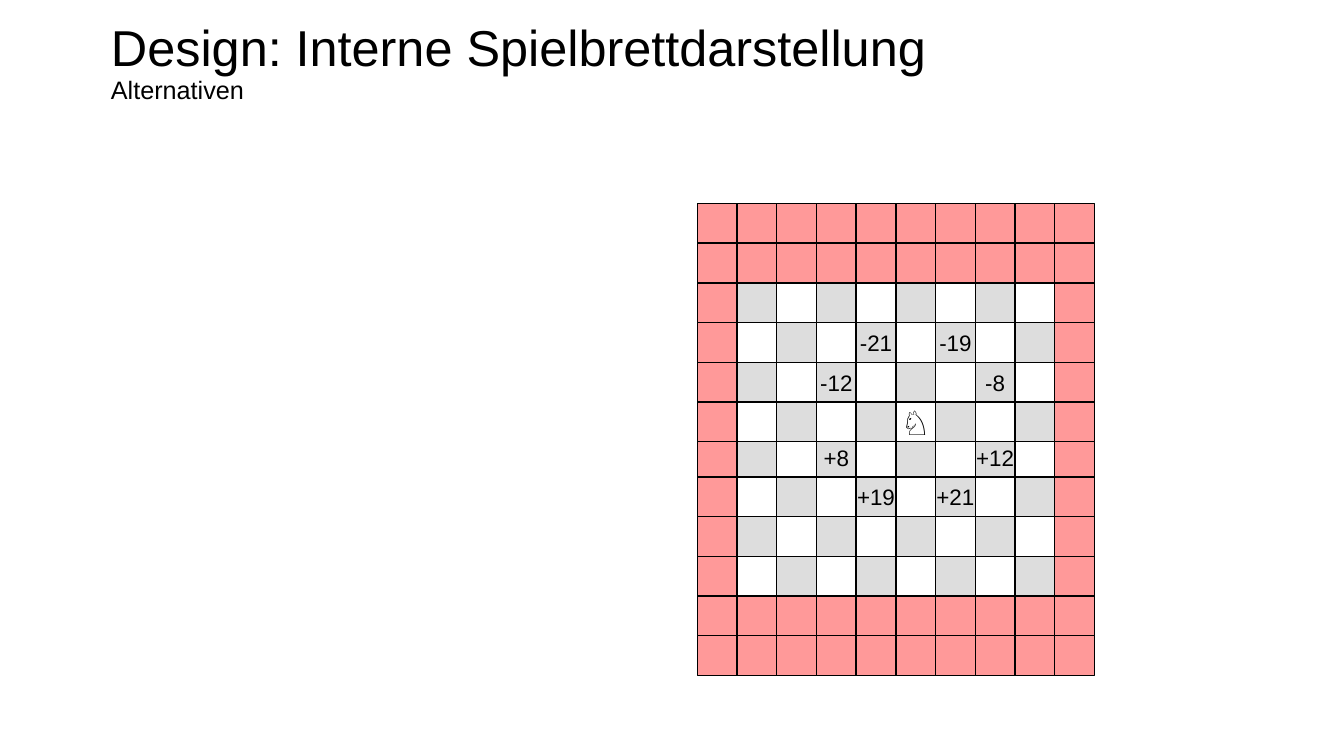
from copy import deepcopy

from pptx import Presentation
from pptx.dml.color import RGBColor
from pptx.enum.shapes import MSO_SHAPE as SHAPE
from pptx.enum.text import MSO_ANCHOR as ANCHOR, MSO_AUTO_SIZE as AUTO_SIZE, PP_ALIGN as ALIGN
from pptx.util import Emu, Inches, Pt

PX = 3600  # EMU per px, 254 px to the inch
BLACK = RGBColor(0x00, 0x00, 0x00)
WHITE = RGBColor(0xFF, 0xFF, 0xFF)
GREY = RGBColor(0xDD, 0xDD, 0xDD)
RED = RGBColor(0xFF, 0x99, 0x99)

COLS, ROWS = 10, 12
CELL = 100
BOARD_LEFT, BOARD_TOP = 1757, 513
KNIGHT_ROW, OVERLAP = 5, 11  # rows below the knight slide up under its row
KNIGHT = KNIGHT_ROW * COLS + 5
KNIGHT_MOVES = (-21, -19, -12, -8, 8, 12, 19, 21)


def px(n):
    return Emu(n * PX)


class Deck:
    font = "Arial"

    def __init__(self):
        self.prs = Presentation()
        self.prs.slide_width, self.prs.slide_height = Inches(13.33), Inches(7.5)
        self.s = self.prs.slides.add_slide(self.prs.slide_layouts[5])

    def run(self, p, text, size):
        r = p.add_run()
        r.text = text
        r.font.name, r.font.size, r.font.color.rgb = self.font, Pt(size), BLACK
        return r

    def title(self, x, y, w, h, heading, subheading):
        sp = self.s.shapes.title
        sp.left, sp.top, sp.width, sp.height = px(x), px(y), px(w), px(h)
        tf = sp.text_frame
        tf.auto_size, tf.vertical_anchor = AUTO_SIZE.NONE, ANCHOR.TOP
        p = tf.paragraphs[0]
        p.alignment, p.line_spacing = ALIGN.LEFT, 0.9
        r = self.run(p, heading, 36)
        p.add_line_break()
        # The break takes the heading's size, so that the first line keeps its height
        p._p[-1].append(deepcopy(r._r.rPr))
        self.run(p, subheading, 18)

    def group(self):
        return self.s.shapes.add_group_shape()

    def square(self, group, x, y, fill, text="", size=16):
        sp = group.shapes.add_shape(SHAPE.RECTANGLE, px(x), px(y), px(CELL), px(CELL))
        sp.shadow.inherit = False
        sp.fill.solid()
        sp.fill.fore_color.rgb = fill
        sp.line.color.rgb, sp.line.width = BLACK, Pt(1)
        if text:
            tf = sp.text_frame
            tf.word_wrap, tf.vertical_anchor = False, ANCHOR.MIDDLE
            p = tf.paragraphs[0]
            p.alignment = ALIGN.CENTER
            self.run(p, text, size)


def square_colour(row, col):
    if not (2 <= row < ROWS - 2 and 1 <= col < COLS - 1):
        return RED
    return GREY if (row + col) % 2 else WHITE


def draw_board(deck):
    board = deck.group()
    labels = {KNIGHT + move: (f"{move:+d}", 16) for move in KNIGHT_MOVES}
    labels[KNIGHT] = ("♘", 24)
    for row in reversed(range(ROWS)):
        y = BOARD_TOP + row * CELL - (OVERLAP if row > KNIGHT_ROW else 0)
        for col in range(COLS):
            label = labels.get(row * COLS + col, ())
            deck.square(board, BOARD_LEFT + col * CELL, y, square_colour(row, col), *label)


def main():
    deck = Deck()
    deck.title(254, 46, 2878, 318, "Design: Interne Spielbrettdarstellung", "Alternativen")
    draw_board(deck)
    deck.prs.save("out.pptx")


if __name__ == "__main__":
    main()
